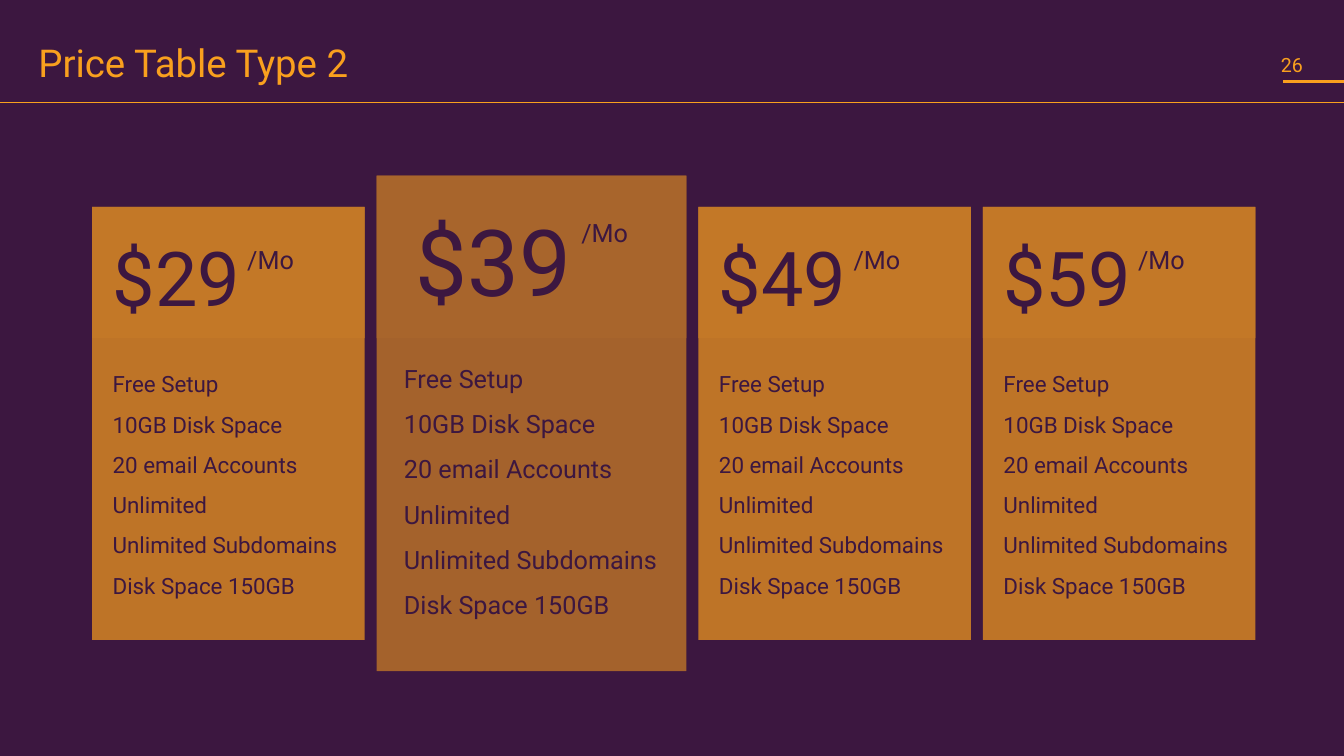
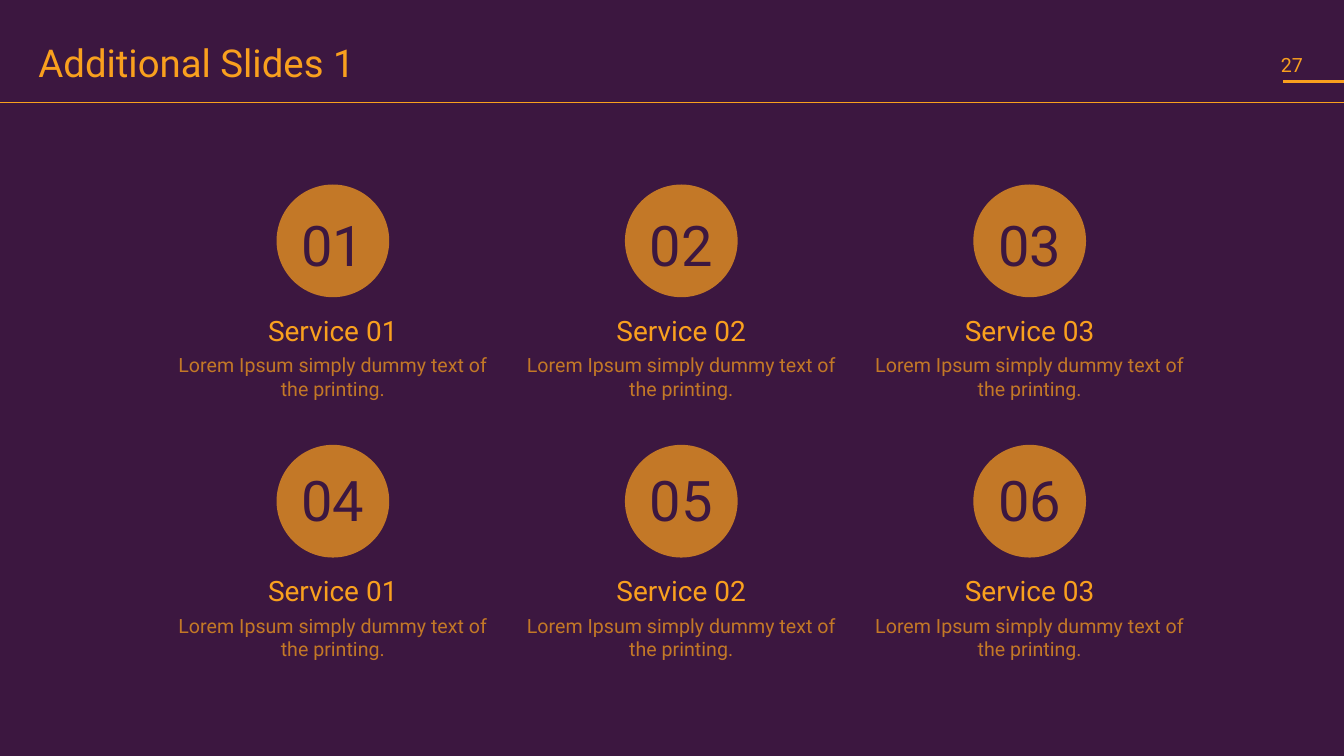
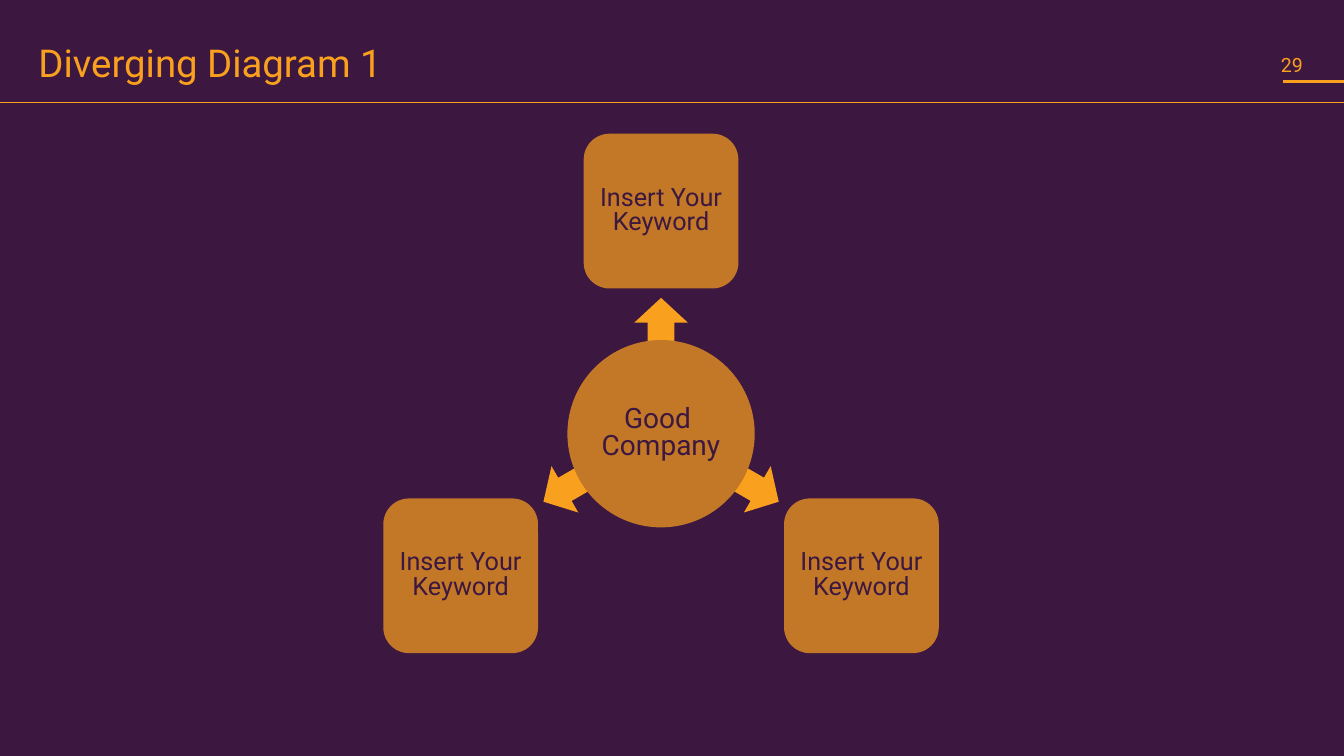
import math

import lxml.etree
import pptx
import pptx.dml.color
import pptx.enum.shapes
import pptx.enum.text
import pptx.oxml.ns
import pptx.util

Cm = pptx.util.Cm
Pt = pptx.util.Pt
KIND = pptx.enum.shapes.MSO_SHAPE
FIT = pptx.enum.text.MSO_AUTO_SIZE
MID = pptx.enum.text.MSO_ANCHOR.MIDDLE
CENTER = pptx.enum.text.PP_ALIGN.CENTER

WIDTH, HEIGHT = 33.87, 19.05
FONT = "Roboto"
COLORS = {"plum": "3C1740", "gold": "F9A01E", "amber": "C37827", "bronze": "A8652C"}

PERKS = ["Free Setup", "10GB Disk Space", "20 email Accounts",
         "Unlimited", "Unlimited Subdomains", "Disk Space 150GB"]
PLAIN = {"size": (6.87, 10.91), "head": 3.31, "color": "amber",
         "price": (0.52, 0.61, 3.58, 2.31), "price_pt": 54,
         "term": (3.91, 0.94, 2.57, 0.76),
         "perks": (0.52, 3.78, 6.35, 6.05), "perks_pt": 16}
LARGE = {"size": (7.81, 12.49), "head": 4.1, "color": "bronze",
         "price": (0.99, 0.71, 4.45, 2.82), "price_pt": 66,
         "term": (5.16, 1.04, 2.57, 0.76),
         "perks": (0.69, 4.34, 6.45, 6.81), "perks_pt": 18}
PLANS = [("$29", PLAIN), ("$39", LARGE), ("$49", PLAIN), ("$59", PLAIN)]


def rgb(name):
    """Return the named colour."""
    return pptx.dml.color.RGBColor.from_string(COLORS[name])


def lengths(box):
    """Turn numbers into centimetre lengths."""
    return [Cm(n) for n in box]


def around(x, y, wide, high):
    """Return the box centred on a point."""
    return x - wide / 2, y - high / 2, wide, high


def draw(home, kind, box, color, alpha=None):
    """Add a plain filled shape, see-through if alpha is given."""
    shape = home.add_shape(kind, *lengths(box))
    shape.shadow.inherit = False
    shape.fill.solid()
    shape.fill.fore_color.rgb = rgb(color)
    shape.line.fill.background()
    if alpha:
        tone = shape.element.spPr.find(".//" + pptx.oxml.ns.qn("a:srgbClr"))
        lxml.etree.SubElement(tone, pptx.oxml.ns.qn("a:alpha"), val=str(alpha * 1000))
    return shape


def write(home, box, lines, size, color="plum", inset=0, lead=None,
          align=None, anchor=None, wrap=True, grow=True):
    """Add a text box with one paragraph per line and return its frame."""
    frame = home.add_textbox(*lengths(box)).text_frame
    frame.text = "\n".join(lines)
    frame.word_wrap = wrap
    frame.auto_size = FIT.SHAPE_TO_FIT_TEXT if grow else FIT.NONE
    frame.margin_left = frame.margin_right = Cm(inset)
    frame.margin_top = frame.margin_bottom = Cm(inset)
    if anchor is not None:
        frame.vertical_anchor = anchor
    for part in frame.paragraphs:
        part.alignment = align
        part.line_spacing = lead
        for run in part.runs:
            tint(run, size, color)
    return frame


def tint(run, size, color):
    """Set the font of a run."""
    run.font.name = FONT
    run.font.size = Pt(size)
    run.font.color.rgb = rgb(color)


def rule(home, left, right, y, weight):
    """Add a level gold line."""
    line = home.add_connector(pptx.enum.shapes.MSO_CONNECTOR.STRAIGHT,
                              *lengths((left, y, right, y)))
    line.line.color.rgb = rgb("gold")
    line.line.width = Pt(weight)
    lxml.etree.SubElement(line._element.spPr, pptx.oxml.ns.qn("a:effectLst"))


def start(deck, title, page):
    """Add a slide with its title band and return its shapes."""
    home = deck.slides.add_slide(deck.slide_layouts[6]).shapes
    rule(home, 32.34, WIDTH, 2.05, 2)
    rule(home, 0, WIDTH, 2.59, 0.5)
    write(home, (32.1, 1.17, 0.92, 0.94), [page], 14, "gold", 0.18,
          anchor=MID, wrap=False)
    write(home, (0.84, 1.14, 29.03, 1.37), [title], 27.4, "gold", 0.13,
          lead=0.75, grow=False)
    return home


def card(home, left, top, price, style):
    """Draw one price card from its top left corner."""
    def inner(box):
        """Shift a box from the card to the slide."""
        return left + box[0], top + box[1], box[2], box[3]

    home = home.add_group_shape().shapes
    wide, high = style["size"]
    draw(home, KIND.RECTANGLE, (left, top, wide, high), style["color"], 97)
    draw(home, KIND.RECTANGLE, (left, top, wide, style["head"]), style["color"])
    write(home, inner(style["price"]), [price], style["price_pt"])
    write(home, inner(style["term"]), ["/Mo"], 18)
    write(home, inner(style["perks"]), PERKS, style["perks_pt"], lead=1.5)


def prices(home, left, middle, gap):
    """Set the price cards in a row about a middle line."""
    for price, style in PLANS:
        wide, high = style["size"]
        card(home, left, middle - high / 2, price, style)
        left += wide + gap


def service(home, left, top, wide, number, name, drop):
    """Draw one numbered service, with the number dropped into its disc."""
    home = home.add_group_shape().shapes
    disc, label = 2.84, 2.01
    center = left + wide / 2
    draw(home, KIND.OVAL, (center - disc / 2, top, disc, disc), "amber")
    write(home, (center - label / 2, top + drop, label, 1.37), [number], 40,
          lead=0.8, align=CENTER, anchor=MID)
    frame = write(home, (left, top + 3.37, wide, 2.18),
                  [name, "Lorem Ipsum simply dummy text of the printing."],
                  20, "gold", 0.13, lead=Pt(17), align=CENTER)
    note = frame.paragraphs[1]
    note.space_before = Pt(4)
    tint(note.runs[0], 14, "amber")


def services(home, left, top):
    """Set six services in a grid of two rows."""
    for row, drop in enumerate((0.97, 0.84)):
        for col in range(3):
            service(home, left + col * 8.78, top + row * 6.56, 8.2,
                    f"{row * 3 + col + 1:02}", f"Service {col + 1:02}", drop)


def node(home, kind, x, y, side, label, lines, size, inset=0):
    """Draw a labelled shape centred on a point."""
    home = home.add_group_shape().shapes
    draw(home, kind, around(x, y, side, side), "amber")
    write(home, around(x, y, *label), lines, size, inset=inset,
          lead=0.8, align=CENTER, anchor=MID)


def diverge(home, x, y):
    """Draw a hub with arrows out to three keywords."""
    spokes = {270: (0, -5.61), 30: (5.05, 3.58), 150: (-5.05, 3.58)}
    reach = 2.8
    for turn in spokes:
        angle = math.radians(turn)
        spot = x + reach * math.cos(angle), y + reach * math.sin(angle)
        arrow = draw(home, KIND.RIGHT_ARROW, around(*spot, 1.25, 1.35), "gold")
        arrow.rotation = turn
    node(home, KIND.OVAL, x, y, 4.72, (3.33, 1.37), ["Good ", "Company"], 20)
    for right, down in spokes.values():
        node(home, KIND.ROUNDED_RECTANGLE, x + right, y + down, 3.9,
             (3.53, 1.5), ["Insert Your Keyword"], 18, 0.13)


def main():
    """Build and save the deck."""
    deck = pptx.Presentation()
    deck.slide_width, deck.slide_height = lengths((WIDTH, HEIGHT))
    ground = deck.slide_master.background.fill
    ground.solid()
    ground.fore_color.rgb = rgb("plum")
    prices(start(deck, "Price Table Type 2", "26"), 2.32, 10.67, 0.3)
    services(start(deck, "Additional Slides 1", "27"), 4.29, 4.65)
    diverge(start(deck, "Diverging Diagram 1", "29"), 16.66, 10.93)
    deck.save("out.pptx")


if __name__ == "__main__":
    main()
